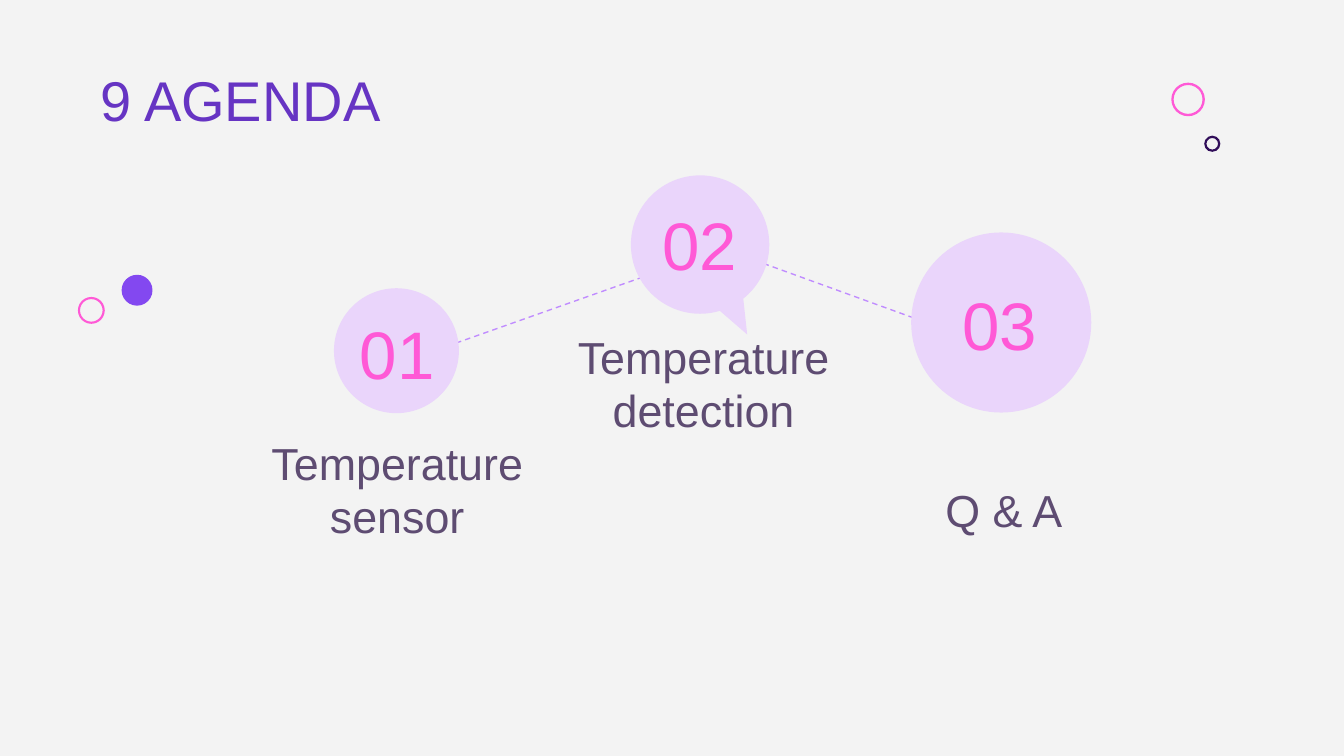
import pptx
import pptx.util
import pptx.dml.color
import pptx.enum.dml
import pptx.enum.shapes
import pptx.enum.text
import lxml.etree

Inches = pptx.util.Inches
Pt = pptx.util.Pt
Shape = pptx.enum.shapes.MSO_SHAPE
Align = pptx.enum.text.PP_ALIGN
Anchor = pptx.enum.text.MSO_ANCHOR

hues = {
    "paper": "F3F3F3",
    "title": "6634C3",
    "label": "5E4C72",
    "pink": "FF59D6",
    "night": "300D59",
    "dot": "8348F0",
    "bubble": "EAD5FB",
    "dash": "C08CFF",
}


def hue(name):
    return pptx.dml.color.RGBColor.from_string(hues[name])


def text(words, box, size, color, align=Align.CENTER, anchor=Anchor.MIDDLE):
    frame = slide.shapes.add_textbox(*map(Inches, box)).text_frame
    frame.word_wrap = True
    frame.vertical_anchor = anchor
    frame.margin_left = frame.margin_right = Inches(0.1)
    frame.margin_top = frame.margin_bottom = Inches(0.1)
    para = frame.paragraphs[0]
    para.alignment = align
    run = para.add_run()
    run.text = words
    run.font.name = "Arial"
    run.font.size = Pt(size)
    run.font.color.rgb = hue(color)


deck = pptx.Presentation()
deck.slide_width = Inches(10)
deck.slide_height = Inches(10 * 9 / 16)
slide = deck.slides.add_slide(deck.slide_layouts[6])
slide.background.fill.solid()
slide.background.fill.fore_color.rgb = hue("paper")

# Dashed links, behind the bubbles
for x1, y1, x2, y2 in [(5.21, 1.79, 7.39, 2.58), (2.92, 2.72, 5.24, 1.9)]:
    link = slide.shapes.add_connector(
        pptx.enum.shapes.MSO_CONNECTOR.STRAIGHT,
        Inches(x1), Inches(y1), Inches(x2), Inches(y2))
    link.line.color.rgb = hue("dash")
    link.line.width = Pt(0.75)
    link.line.dash_style = pptx.enum.dml.MSO_LINE.DASH
    lxml.etree.SubElement(
        link._element.spPr,
        "{http://schemas.openxmlformats.org/drawingml/2006/main}effectLst")

# Rings, dot and bubbles: kind, center x, center y, diameter, color, adjustments
rounds = [
    (Shape.DONUT, 8.84, 0.74, 0.25, "pink", [0.07]),
    (Shape.DONUT, 9.02, 1.07, 0.12, "night", [0.14]),
    (Shape.OVAL, 1.02, 2.16, 0.23, "dot", []),
    (Shape.DONUT, 0.68, 2.31, 0.2, "pink", [0.08]),
    (Shape.OVAL, 2.95, 2.61, 0.93, "bubble", []),
    (Shape.OVAL_CALLOUT, 5.21, 1.82, 1.03, "bubble", [0.34, 0.65]),
    (Shape.OVAL, 7.45, 2.4, 1.34, "bubble", []),
]
for kind, x, y, size, color, turns in rounds:
    disc = slide.shapes.add_shape(
        kind, Inches(x - size / 2), Inches(y - size / 2),
        Inches(size), Inches(size))
    disc.shadow.inherit = False
    disc.fill.solid()
    disc.fill.fore_color.rgb = hue(color)
    disc.line.fill.background()
    for spot, turn in enumerate(turns):
        disc.adjustments[spot] = turn

text("9 AGENDA", (0.65, 0.39, 7.36, 0.71), 30, "title",
     align=Align.LEFT, anchor=Anchor.TOP)

# Agenda steps: number and its box, label and its box
steps = [
    ("01", (2.56, 2.31, 0.79, 0.63),
     "Temperature sensor", (1.55, 3.21, 2.81, 0.93)),
    ("02", (4.48, 1.5, 1.45, 0.63),
     "Temperature detection", (3.72, 2.64, 3.03, 0.71)),
    ("03", (6.78, 2.09, 1.32, 0.63),
     "Q & A", (5.92, 3.13, 3.1, 0.96)),
]
for number, spot, label, area in steps:
    text(number, spot, 36, "pink")
    text(label, area, 24, "label", anchor=Anchor.BOTTOM)

deck.save("out.pptx")
